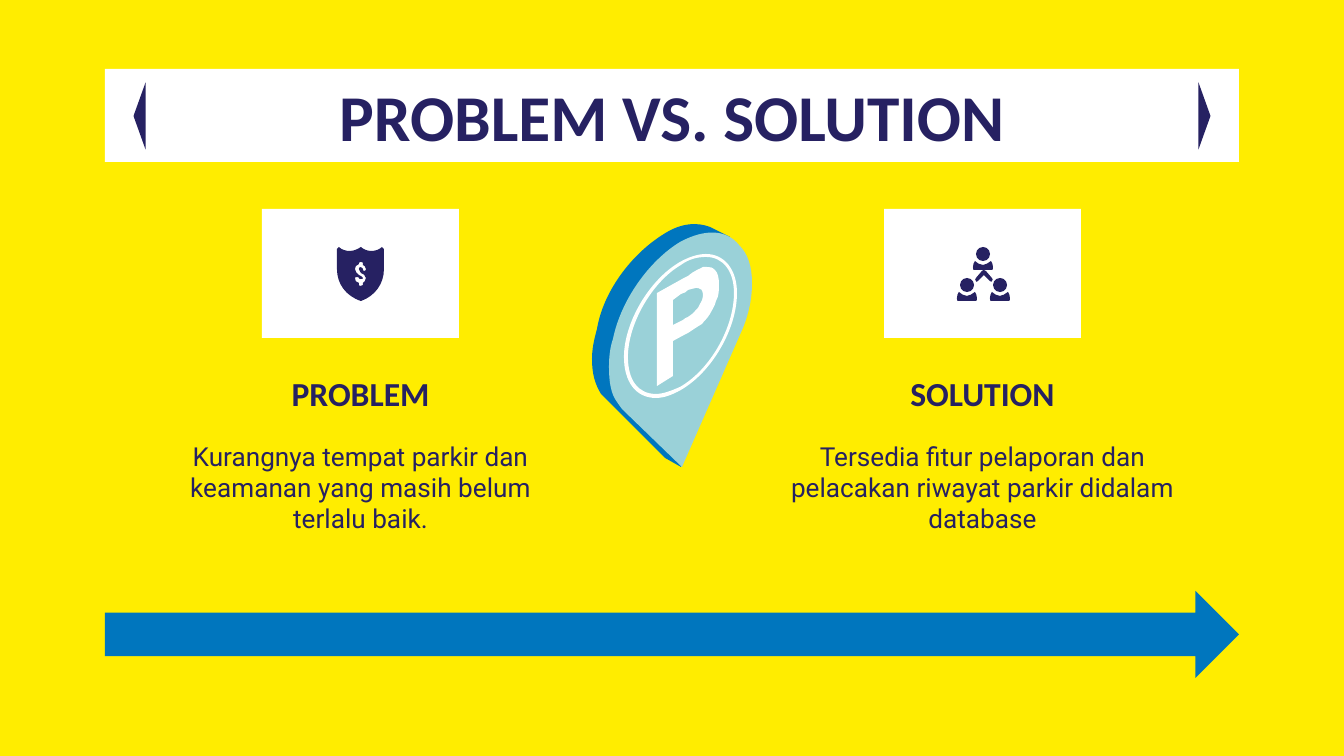
"""Build the problem and solution slide with its parking pin."""
from dataclasses import dataclass

import pptx
import pptx.dml.color
import pptx.enum.shapes
import pptx.enum.text
import pptx.oxml.ns
import pptx.shapes.autoshape
import pptx.util

SCALE = 9144000 / 1344
KIND = pptx.enum.shapes.MSO_SHAPE
ANCHOR = pptx.enum.text.MSO_ANCHOR


@dataclass(frozen=True)
class Theme:
    paper: str = "FFED00"
    white: str = "FFFFFF"
    navy: str = "262162"
    blue: str = "0076BE"
    aqua: str = "9AD1D8"
    bold: str = "Calibri"
    plain: str = "Roboto"
    title: int = 35
    head: int = 18
    body: int = 14


@dataclass(frozen=True)
class Box:
    left: int
    top: int
    width: int
    height: int


@dataclass(frozen=True)
class Column:
    left: int
    head: str
    body: str


THEME = Theme()
COLUMNS = (
    Column(141, "PROBLEM",
           "Kurangnya tempat parkir dan keamanan yang masih belum terlalu baik."),
    Column(763, "SOLUTION",
           "Tersedia fitur pelaporan dan pelacakan riwayat parkir didalam database"),
)
PEOPLE = ((983, 254), (967, 285), (1000, 285))
TORSO = ("M -8 7 C -9 8 -10 11 -10 13 C -10 15 -10 16 -9 16 L 9 16 "
         "C 10 16 10 15 10 13 C 10 11 9 8 8 7 C 5 9 3 11 0 11 C -3 11 -6 9 -8 7")
LINK = ("M 984 270 C 983 270 982 271 982 271 L 976 278 C 975 279 975 280 976 281 "
        "C 976 282 977 282 978 281 L 984 275 L 990 281 C 991 282 992 282 992 281 "
        "C 993 280 993 279 992 278 L 986 271 C 985 271 985 270 984 270")
SHIELD = ("M 339 247 C 342 250 346 251 350 251 C 354 251 358 249 361 247 "
          "C 363 249 367 251 371 251 C 375 251 379 250 382 247 L 384 249 L 384 269 "
          "C 384 284 375 296 361 301 C 346 296 337 284 337 269 L 337 249 "
          "M 360 262 C 362 262 363 262 363 263 L 363 265 C 364 265 366 267 366 269 "
          "C 366 270 366 271 364 271 C 363 271 363 270 363 269 C 363 268 361 267 360 267 "
          "C 360 267 359 268 359 269 C 359 270 360 271 361 273 C 363 274 366 275 366 278 "
          "C 366 281 364 282 363 283 L 363 285 C 363 285 361 286 360 286 "
          "C 360 286 359 285 359 285 L 359 283 C 356 282 355 281 355 278 "
          "C 355 277 356 277 357 277 C 358 277 359 277 359 278 C 359 279 360 279 361 279 "
          "C 362 279 363 279 363 278 C 363 277 361 276 359 275 C 357 274 355 271 355 269 "
          "C 355 267 356 265 359 264 L 359 263 C 359 262 360 262 360 262")
EDGE = ("M 664 234 C 681 223 697 222 710 227 L 712 228 L 730 237 L 724 238 "
        "C 731 246 735 259 735 276 C 735 285 734 294 731 305 C 722 362 693 429 681 467 "
        "L 665 458 L 606 399 L 601 394 C 595 384 592 374 592 359 "
        "C 592 349 594 340 597 329 C 603 293 630 255 664 234")
FACE = ("M 680 242 C 706 228 727 230 739 245 C 748 254 752 266 752 284 "
        "C 752 298 749 313 743 328 L 682 467 L 622 409 L 617 402 "
        "C 611 394 609 382 609 367 C 609 357 610 348 613 339 C 621 300 649 261 680 242")
LETTER = ("M 707 267 C 706 267 704 267 703 267 C 700 269 695 270 688 276 L 684 278 "
          "L 657 293 L 657 386 L 673 376 L 673 341 L 684 335 C 685 335 687 333 688 333 "
          "C 694 329 697 327 702 324 C 704 321 707 319 710 314 C 712 310 715 306 716 301 "
          "C 719 296 719 290 719 285 C 719 278 718 273 715 270 C 712 267 710 267 707 267 "
          "M 696 288 C 698 288 699 288 700 289 C 702 289 703 292 703 296 "
          "C 703 298 702 301 700 304 C 699 306 698 309 696 310 C 694 313 692 314 688 317 "
          "C 687 318 684 318 683 320 L 673 325 L 673 300 L 681 294 "
          "C 684 293 687 292 688 290 C 691 289 692 289 696 288")
RING = ("M 706 257 C 723 257 734 271 734 293 C 734 328 710 370 680 387 "
        "C 671 391 663 394 656 394 C 638 394 628 380 628 357 C 628 324 652 282 681 265 "
        "C 689 259 698 257 706 257 "
        "M 706 254 C 698 254 689 257 680 262 C 649 280 624 323 624 357 "
        "C 624 382 636 398 656 398 C 664 398 672 395 681 390 C 712 372 737 329 737 293 "
        "C 737 269 724 254 706 254")
PIN = ((EDGE, THEME.blue), (FACE, THEME.aqua), (LETTER, THEME.white), (RING, THEME.white))


def px(count: int) -> int:
    return round(count * SCALE)


def rgb(tone: str) -> pptx.dml.color.RGBColor:
    return pptx.dml.color.RGBColor.from_string(tone)


def place(box: Box) -> tuple[int, ...]:
    return tuple(px(n) for n in (box.left, box.top, box.width, box.height))


def paint(shape: pptx.shapes.autoshape.Shape, tone: str) -> None:
    shape.shadow.inherit = False
    shape.fill.solid()
    shape.fill.fore_color.rgb = rgb(tone)
    shape.line.fill.background()


def block(shapes, kind: KIND, box: Box, tone: str, turn: int = 0) -> None:
    shape = shapes.add_shape(kind, *place(box))
    shape.rotation = turn
    paint(shape, tone)


def bend(shape: pptx.shapes.autoshape.Shape, steps: str) -> None:
    legs = iter(list(shape.element.iter(pptx.oxml.ns.qn("a:lnTo"))))
    for step in steps:
        leg = next(legs)
        if step == "C":
            leg.tag = pptx.oxml.ns.qn("a:cubicBezTo")
            for rest in (next(legs), next(legs)):
                leg.append(rest[0])
                rest.getparent().remove(rest)


def draw(shapes, curve: str, tone: str, dx: int = 0, dy: int = 0) -> None:
    pen = None
    for part in curve.split("M ")[1:]:
        nums = [int(n) for n in part.split() if n not in "LC"]
        spots = [(px(x + dx), px(y + dy)) for x, y in zip(nums[::2], nums[1::2])]
        if pen is None:
            pen = shapes.build_freeform(*spots[0])
        else:
            pen.move_to(*spots[0])
        pen.add_line_segments(spots[1:], close=True)
    shape = pen.convert_to_shape()
    bend(shape, "".join(n for n in curve if n in "LC"))
    paint(shape, tone)


def write(shape, text: str, face: str, size: int, anchor: ANCHOR, after: int = 0) -> None:
    frame = shape.text_frame
    frame.word_wrap = True
    frame.auto_size = pptx.enum.text.MSO_AUTO_SIZE.NONE
    frame.vertical_anchor = anchor
    frame.margin_left = frame.margin_right = px(13)
    frame.margin_top = frame.margin_bottom = px(13)
    para = frame.paragraphs[0]
    para.alignment = pptx.enum.text.PP_ALIGN.CENTER
    para.line_spacing = 1.0
    para.space_before = pptx.util.Pt(0)
    para.space_after = pptx.util.Pt(after)
    run = para.add_run()
    run.text = text
    run.font.name = face
    run.font.size = pptx.util.Pt(size)
    run.font.bold = face == THEME.bold
    run.font.color.rgb = rgb(THEME.navy)


def fill(shapes, col: Column) -> None:
    body = shapes.add_textbox(*place(Box(col.left, 427, 439, 159)))
    write(body, col.body, THEME.plain, THEME.body, ANCHOR.TOP, 12)
    head = shapes.add_textbox(*place(Box(col.left, 364, 439, 62)))
    write(head, col.head, THEME.bold, THEME.head, ANCHOR.BOTTOM)
    block(shapes, KIND.RECTANGLE, Box(col.left + 121, 209, 197, 129), THEME.white)


def main() -> None:
    deck = pptx.Presentation()
    deck.slide_width, deck.slide_height = px(1344), px(756)
    slide = deck.slides.add_slide(deck.slide_layouts[5])
    slide.background.fill.solid()
    slide.background.fill.fore_color.rgb = rgb(THEME.paper)
    shapes = slide.shapes
    title = shapes.title
    title.left, title.top, title.width, title.height = place(Box(105, 69, 1134, 93))
    title.fill.solid()
    title.fill.fore_color.rgb = rgb(THEME.white)
    write(title, "PROBLEM VS. SOLUTION", THEME.bold, THEME.title, ANCHOR.MIDDLE)
    for col in COLUMNS:
        fill(shapes, col)
    team = shapes.add_group_shape().shapes
    for x, y in PEOPLE:
        draw(team, TORSO, THEME.navy, x, y)
        block(team, KIND.OVAL, Box(x - 7, y - 7, 14, 14), THEME.navy)
    draw(team, LINK, THEME.navy)
    draw(shapes, SHIELD, THEME.navy)
    pin = shapes.add_group_shape().shapes
    for curve, tone in PIN:
        draw(pin, curve, tone)
    block(shapes, KIND.RIGHT_ARROW, Box(105, 591, 1134, 87), THEME.blue)
    for left, turn in ((1171, 90), (106, 270)):
        block(shapes, KIND.ISOSCELES_TRIANGLE, Box(left, 110, 67, 12), THEME.navy, turn)
    deck.save("out.pptx")


if __name__ == "__main__":
    main()
